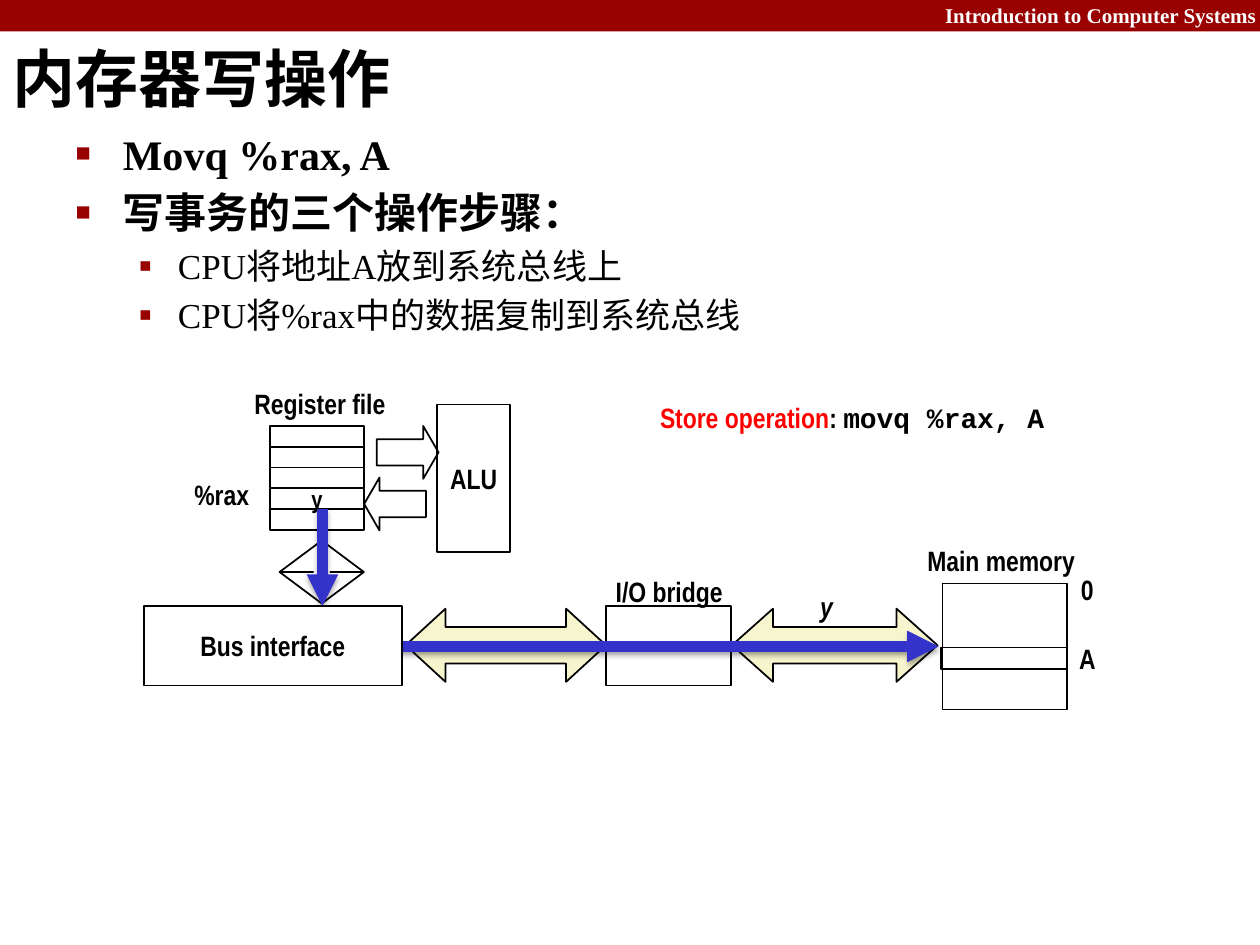
"""Build the slide that shows how a memory write crosses the system bus."""
import pptx
import pptx.util
import pptx.dml.color
import pptx.enum.shapes
import pptx.enum.text
import pptx.oxml
import pptx.oxml.ns

Pt = pptx.util.Pt
rgb = pptx.dml.color.RGBColor.from_string
Kind = pptx.enum.shapes.MSO_SHAPE
Align = pptx.enum.text.PP_ALIGN
Mid = pptx.enum.text.MSO_ANCHOR.MIDDLE
NS = pptx.oxml.ns.nsdecls("a")
SANS, SERIF, HAN = "Arial Narrow", "Times New Roman", "Noto Sans CJK SC"
DARK, BLUE, CREAM = "990000", "3333CC", "F7F5CD"


def style(run, size, face=SANS, color="000000", bold=True):
    """Set the look of one run, with a Chinese face beside the Latin one."""
    font = run.font
    font.size, font.name, font.bold = Pt(size), face, bold
    font.color.rgb = rgb(color)
    font._element.find(pptx.oxml.ns.qn("a:latin")).addnext(
        pptx.oxml.parse_xml(f'<a:ea {NS} typeface="{HAN}"/>'))


def draw(kind, left, top, width, height, fill=None, text="", size=16, adj=()):
    """Add an outlined shape, or a plain text box when kind is None."""
    area = Pt(left), Pt(top), Pt(width), Pt(height)
    if kind is None:
        item = slide.shapes.add_textbox(*area)
    else:
        item = slide.shapes.add_shape(kind, *area)
        item.shadow.inherit = False
        item.line.color.rgb = rgb("000000")
        item.line.width = Pt(1)
        if fill:
            item.fill.solid()
            item.fill.fore_color.rgb = rgb(fill)
        else:
            item.fill.background()
        for spot, value in enumerate(adj):
            item.adjustments[spot] = value
    if text:
        frame = item.text_frame
        frame.text = text
        frame.word_wrap = False
        frame.vertical_anchor = Mid
        frame.paragraphs[0].alignment = Align.CENTER
        style(frame.paragraphs[0].runs[0], size)
    return item


deck = pptx.Presentation()
deck.slide_width, deck.slide_height = Pt(720), Pt(540)
slide = deck.slides.add_slide(deck.slide_layouts[1])

band = draw(Kind.RECTANGLE, 0, 0, 720, 18, DARK)
band.line.fill.background()
course = draw(None, 432, -2.2, 293, 21.6, text="Introduction to Computer Systems")
course.text_frame.paragraphs[0].alignment = Align.RIGHT
course.text_frame.word_wrap = True
style(course.text_frame.paragraphs[0].runs[0], 12, SERIF, "FFFFFF")

title = slide.shapes.title
title.left, title.top, title.width, title.height = Pt(0), Pt(14.4), Pt(597.6), Pt(59.8)
title.text_frame.text = "内存器写操作"
title.text_frame.vertical_anchor = Mid
head = title.text_frame.paragraphs[0]
head.alignment = Align.LEFT
head._p.get_or_add_pPr().set("marL", str(Pt(9)))
head._p.get_or_add_pPr().set("indent", str(Pt(-9)))
style(head.runs[0], 36, HAN)

body = slide.placeholders[1]
body.left, body.top, body.width, body.height = Pt(36), Pt(66.2), Pt(648), Pt(153.4)
frame = body.text_frame
frame.auto_size = pptx.enum.text.MSO_AUTO_SIZE.NONE
frame.margin_top = Pt(7)
steps = [("Movq %rax, A", 0), ("写事务的三个操作步骤：", 0),
         ("CPU将地址A放到系统总线上", 1), ("CPU将%rax中的数据复制到系统总线", 1)]
looks = [(27, -27, "■", 60, 24), (58.5, -22.5, "▪", 110, 20)]
frame.text = "\n".join(text for text, level in steps)
for spot, (para, (text, level)) in enumerate(zip(frame.paragraphs, steps)):
    left, hang, mark, scale, size = looks[level]
    para.level = level
    props = para._p.get_or_add_pPr()
    props.set("marL", str(Pt(left)))
    props.set("indent", str(Pt(hang)))
    for part in (f'<a:buClr {NS}><a:srgbClr val="{DARK}"/></a:buClr>',
                 f'<a:buSzPct {NS} val="{scale * 1000}"/>',
                 f'<a:buFont {NS} typeface="{SERIF}"/>',
                 f'<a:buChar {NS} char="{mark}"/>'):
        props.append(pptx.oxml.parse_xml(part))
    para.space_before = Pt(size * 0.2 if spot else 0)
    style(para.runs[0], size, SERIF, bold=level == 0)

draw(Kind.RECTANGLE, 538.6, 333.4, 71.3, 72)
draw(Kind.LEFT_RIGHT_ARROW, 418.3, 347.8, 117.4, 41.8, CREAM, adj=(0.5, 0.56))
draw(Kind.RECTANGLE, 346.3, 346.3, 71.3, 45.4)
draw(Kind.LEFT_RIGHT_ARROW, 231.8, 347.8, 114.5, 41.8, CREAM, adj=(0.5, 0.545))
for row in range(5):
    draw(Kind.RECTANGLE, 154.1, 243.4 + 11.9 * row, 54, 11.9,
         text="y" if row == 3 else "", size=14)
draw(Kind.RIGHT_ARROW, 215.3, 243.4, 35.3, 30.2, adj=(0.5, 0.29))
draw(Kind.LEFT_ARROW, 208.1, 272.9, 35.3, 30.2, adj=(0.5, 0.29))
draw(Kind.RECTANGLE, 249.8, 231.1, 41.8, 84.2, text="ALU")
draw(Kind.UP_DOWN_ARROW, 159.8, 308.9, 48.2, 36, adj=(0.5, 0.2))
draw(Kind.RECTANGLE, 537.8, 370.1, 72, 12.2)

for ends in [(223.9, 369.4, 536.4, 369.4), (184.3, 290.9, 184.3, 346.3)]:
    flow = slide.shapes.add_connector(
        pptx.enum.shapes.MSO_CONNECTOR.STRAIGHT, *map(Pt, ends))
    flow.line.color.rgb = rgb(BLUE)
    flow.line.width = Pt(6)
    flow.line._get_or_add_ln().append(
        pptx.oxml.parse_xml(f'<a:tailEnd {NS} type="triangle"/>'))
    flow._element.spPr.append(pptx.oxml.parse_xml(
        f'<a:effectLst {NS}><a:outerShdw blurRad="{Pt(3.1)}" dist="{Pt(1.8)}" '
        'dir="5400000" rotWithShape="0"><a:srgbClr val="000000">'
        '<a:alpha val="35000"/></a:srgbClr></a:outerShdw></a:effectLst>'))
draw(Kind.RECTANGLE, 82.1, 346.3, 147.6, 45.4, "FFFFFF", "Bus interface")

labels = [("Register file", 137.5, 217.4, 90.7), ("%rax", 103.7, 269.3, 46.1),
          ("I/O bridge", 344.2, 324.7, 76.3), ("Main memory", 522, 306.7, 100.1),
          ("y", 461.5, 333.4, 21.6), ("0", 609.8, 323.3, 23), ("A", 608.4, 362.9, 25.9)]
for text, left, top, width in labels:
    label = draw(None, left, top, width, 26.6, text=text)
    label.text_frame.paragraphs[0].runs[0].font.italic = text == "y"

store = draw(None, 370.1, 225.4, 241.9, 26.6)
store.text_frame.word_wrap = False
line = store.text_frame.paragraphs[0]
for text, face, color in [("Store operation", SANS, "FF0000"), (": ", SANS, "000000"),
                          ("movq %rax, A", "Courier New", "000000")]:
    run = line.add_run()
    run.text = text
    style(run, 16, face, color)

deck.save("out.pptx")
